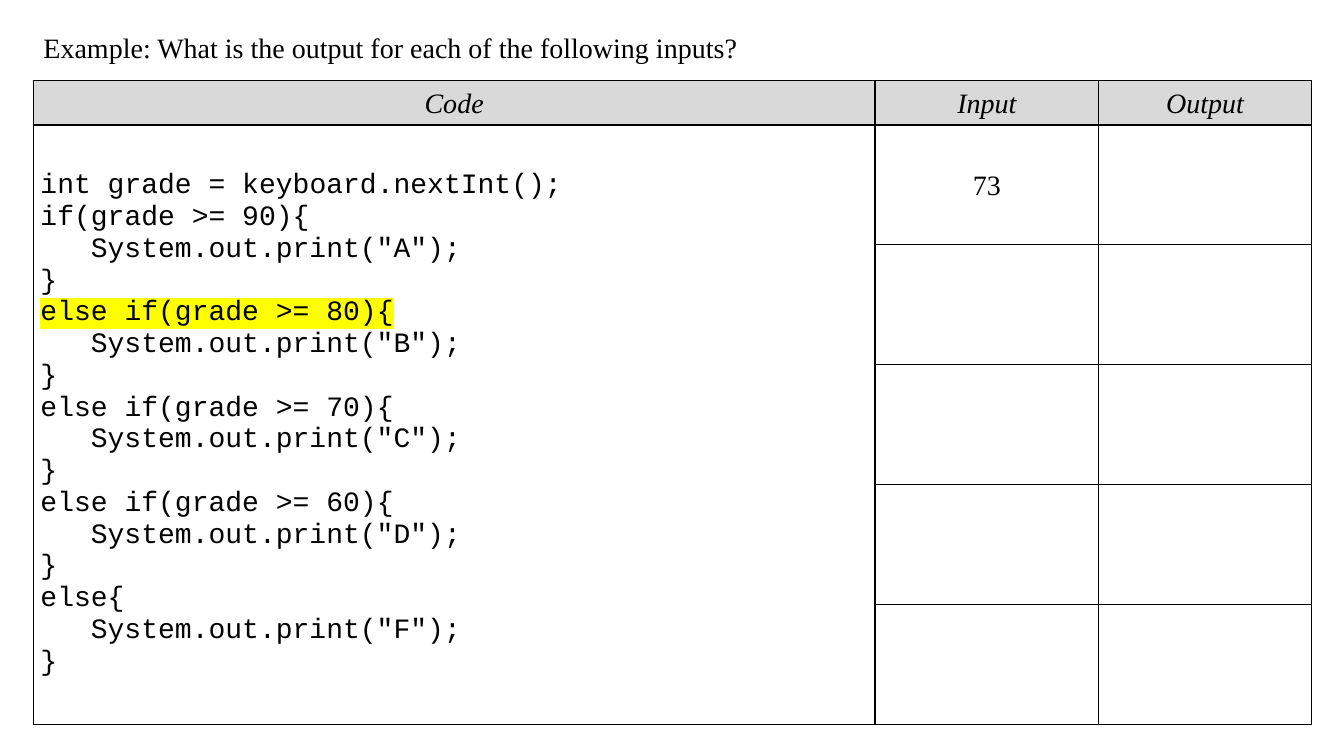
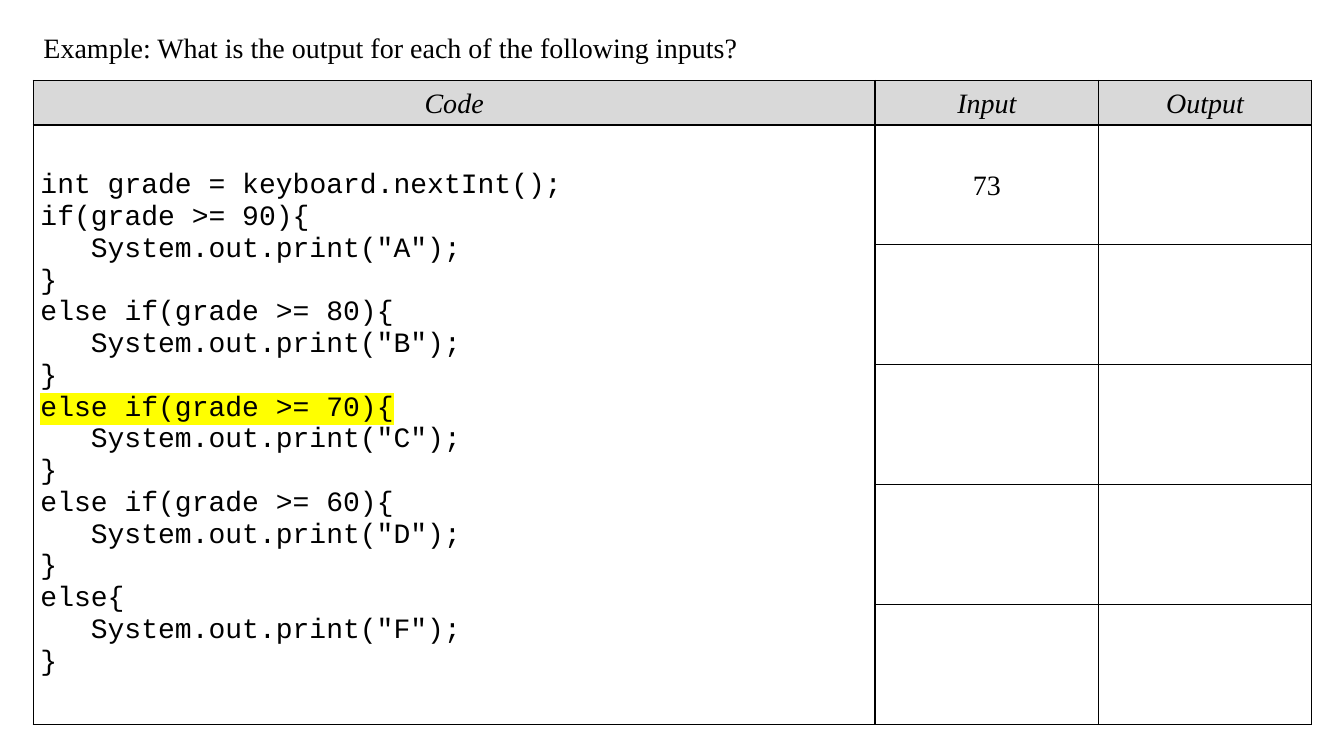
from lxml import etree
from pptx import Presentation
from pptx import util as u
from pptx.dml.color import RGBColor
from pptx.enum import text
from pptx.oxml.ns import qn

# Content
QUESTION = "Example: What is the output for each of the following inputs?"
HEADERS = ["Code", "Input", "Output"]
CODE = """int grade = keyboard.nextInt();
if(grade >= 90){
\tSystem.out.print("A");
}
else if(grade >= 80){
\tSystem.out.print("B");
}
else if(grade >= 70){
\tSystem.out.print("C");
}
else if(grade >= 60){
\tSystem.out.print("D");
}
else{
\tSystem.out.print("F");
}"""
FIRST_INPUT = "73"
HIGHLIGHTED_LINES = ["else if(grade >= 80){", "else if(grade >= 70){"]  # one per slide

# Shared style
BLACK, GREY, YELLOW = "000000", "D9D9D9", "FFFF00"
SERIF, MONO = "Times New Roman", "Courier New"
SIZE = u.Pt(20)
LEFT = u.Cm(0.84)
COLUMN_WIDTHS = [u.Cm(21.21), u.Cm(5.64), u.Cm(5.36)]
ROW_HEIGHTS = [u.Cm(1.12)] + [u.Cm(3.02)] * 5


def colour(value):
    return RGBColor.from_string(value)


def style_font(run, name=SERIF, italic=False):
    font = run.font
    font.name, font.size, font.italic, font.bold = name, SIZE, italic, False
    font.color.rgb = colour(BLACK)


def highlight(run):
    mark = etree.Element(qn("a:highlight"))
    etree.SubElement(mark, qn("a:srgbClr"), val=YELLOW)
    run.font._element.find(qn("a:latin")).addprevious(mark)


def style_cell(cell, fill=None):
    cell.margin_left = cell.margin_right = u.Cm(0.18)
    cell.margin_top = cell.margin_bottom = 0
    cell.vertical_anchor = text.MSO_ANCHOR.MIDDLE
    properties = cell._tc.get_or_add_tcPr()
    for side in ("lnL", "lnR", "lnT", "lnB"):
        border = etree.SubElement(properties, qn("a:" + side), w=str(u.Pt(1)))
        paint = etree.SubElement(border, qn("a:solidFill"))
        etree.SubElement(paint, qn("a:srgbClr"), val=BLACK)
    if fill:
        cell.fill.solid()
        cell.fill.fore_color.rgb = colour(fill)
    else:
        cell.fill.background()


def write_centred(cell, words, italic=False):
    cell.text_frame.text = words
    paragraph = cell.text_frame.paragraphs[0]
    paragraph.alignment = text.PP_ALIGN.CENTER
    paragraph.line_spacing = 1.07
    paragraph.space_after = u.Pt(8)
    style_font(paragraph.runs[0], italic=italic)


def write_code(cell, highlighted):
    cell.text_frame.text = CODE
    for paragraph in cell.text_frame.paragraphs:
        for run in paragraph.runs:
            style_font(run, MONO)
            if run.text == highlighted:
                highlight(run)


def add_question(slide):
    question = slide.shapes.title
    question.left, question.top = LEFT, u.Cm(0.64)
    question.width, question.height = u.Cm(20.45), u.Cm(1.12)
    frame = question.text_frame
    frame.text = QUESTION
    frame.word_wrap = True
    frame.auto_size = text.MSO_AUTO_SIZE.NONE
    frame.vertical_anchor = text.MSO_ANCHOR.TOP
    frame.paragraphs[0].alignment = text.PP_ALIGN.LEFT
    style_font(frame.paragraphs[0].runs[0])


def add_trace_table(slide, highlighted):
    table = slide.shapes.add_table(
        len(ROW_HEIGHTS), len(COLUMN_WIDTHS), LEFT, u.Cm(2.03),
        sum(COLUMN_WIDTHS), sum(ROW_HEIGHTS)).table
    table.first_row = table.horz_banding = False
    for column, width in zip(table.columns, COLUMN_WIDTHS):
        column.width = width
    for index, (row, height) in enumerate(zip(table.rows, ROW_HEIGHTS)):
        row.height = height
        for cell in row.cells:
            style_cell(cell, GREY if index == 0 else None)

    # Header row, code spanning all input rows, first input
    for cell, header in zip(table.rows[0].cells, HEADERS):
        write_centred(cell, header, italic=True)
    code = table.cell(1, 0)
    code.merge(table.cell(len(ROW_HEIGHTS) - 1, 0))
    write_code(code, highlighted)
    write_centred(table.cell(1, 1), FIRST_INPUT)


def main():
    deck = Presentation()
    deck.slide_width, deck.slide_height = u.Cm(33.87), u.Cm(19.05)
    title_only = deck.slide_layouts[5]
    for line in HIGHLIGHTED_LINES:
        slide = deck.slides.add_slide(title_only)
        add_question(slide)
        add_trace_table(slide, line)
    deck.save("out.pptx")


if __name__ == "__main__":
    main()
